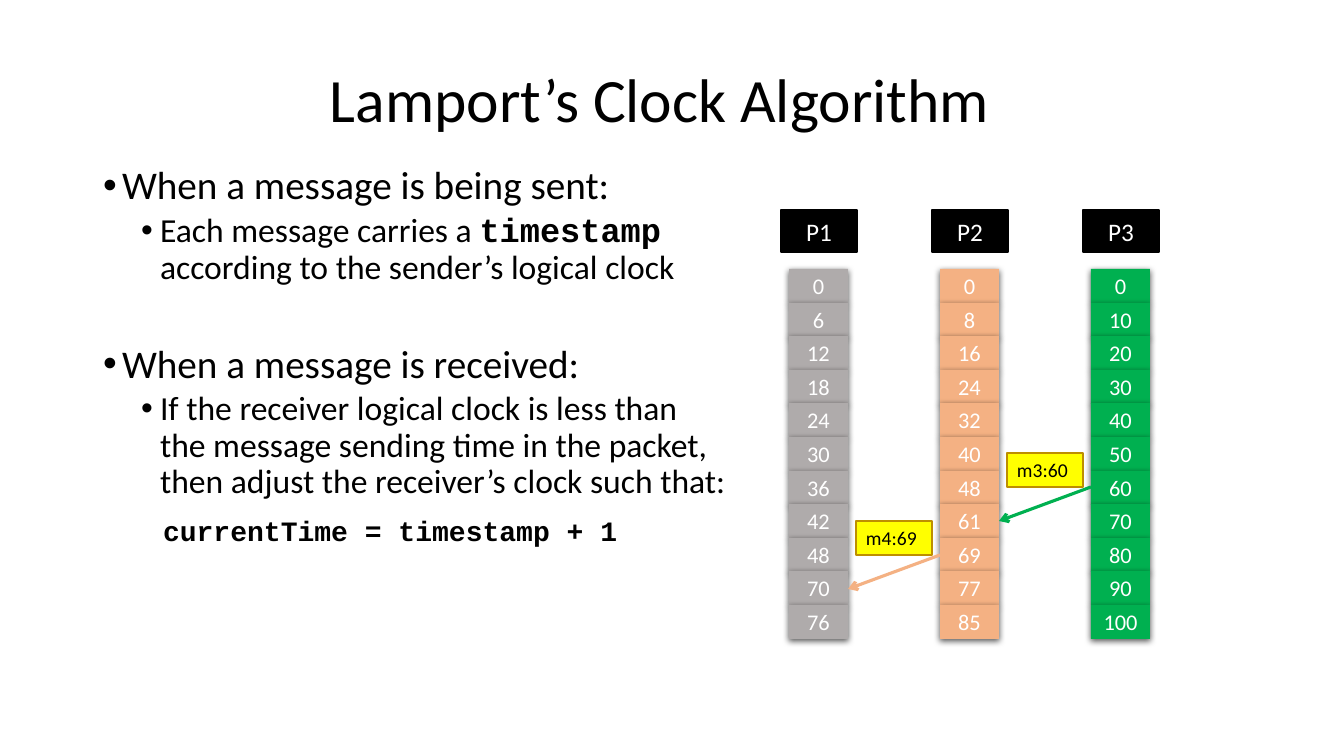
from lxml.etree import SubElement
from pptx import Presentation
from pptx.dml.color import RGBColor
from pptx.enum.shapes import MSO_CONNECTOR, MSO_SHAPE
from pptx.enum.text import MSO_ANCHOR, MSO_AUTO_SIZE, PP_ALIGN
from pptx.oxml.ns import qn
from pptx.util import Pt

SCALE = 914400 / 100.8
PITCH, STEP = 151.2, 33.6
HEADS, CELLS, TOP = 781, 789, 269
BLACK, WHITE = "000000", "FFFFFF"


def px(n):
    """Turn pixels into EMU."""
    return round(n * SCALE)


def color(code):
    """Turn a hex string into a colour."""
    return RGBColor.from_string(code)


def node(parent, tag, **attrs):
    """Append a DrawingML element and return it."""
    item = SubElement(parent, qn("a:" + tag))
    for key, val in attrs.items():
        item.set(key, str(val))
    return item


class Deck:
    """Hold the style and the current slide."""

    def __init__(self, font, code):
        """Start a deck with one title and content slide."""
        self.font, self.code = font, code
        self.file = Presentation()
        self.file.slide_width, self.file.slide_height = px(1344), px(756)
        self.slide = self.file.slides.add_slide(self.file.slide_layouts[1])

    def style(self, run, size, tint=BLACK, mono=False):
        """Format one run."""
        run.font.name = self.code if mono else self.font
        run.font.size, run.font.bold = Pt(size), mono
        run.font.color.rgb = color(tint)

    def place(self, shape, box):
        """Move a placeholder and fix its text frame."""
        shape.left, shape.top, shape.width, shape.height = map(px, box)
        shape.text_frame.word_wrap = True
        shape.text_frame.auto_size = MSO_AUTO_SIZE.NONE
        return shape.text_frame

    def title(self, box, text):
        """Fill the title."""
        frame = self.place(self.slide.shapes.title, box)
        frame.text = text
        frame.vertical_anchor = MSO_ANCHOR.MIDDLE
        para = frame.paragraphs[0]
        para.alignment, para.line_spacing = PP_ALIGN.CENTER, 0.9
        self.style(para.runs[0], 44)

    def body(self, box, items):
        """Fill the list; each item is level, size, gap, indent, bullet, runs."""
        frame = self.place(self.slide.placeholders[1], box)
        frame.vertical_anchor = MSO_ANCHOR.TOP
        for i, (level, size, gap, left, mark, parts) in enumerate(items):
            para = frame.add_paragraph() if i else frame.paragraphs[0]
            para.level, para.line_spacing = level, 0.9
            para.space_before, para.space_after = Pt(gap), Pt(0)
            props = para._p.get_or_add_pPr()
            props.set("marL", str(px(left)))
            props.set("indent", str(px(-19 if mark else 0)))
            if mark:
                node(props, "buFont", typeface="Arial")
                node(props, "buChar", char="•")
            else:
                node(props, "buNone")
            for text, mono in parts:
                run = para.add_run()
                run.text = text
                self.style(run, size, mono=mono)

    def block(self, box, text, size, fill, line=None, tint=WHITE):
        """Add a centred box; one without an outline casts a shadow."""
        shape = self.slide.shapes.add_shape(MSO_SHAPE.RECTANGLE, *map(px, box))
        shape.fill.solid()
        shape.fill.fore_color.rgb = color(fill)
        shape.shadow.inherit = False
        if line:
            shape.line.color.rgb, shape.line.width = color(line), Pt(1)
        else:
            shape.line.fill.background()
            glow = node(shape._element.spPr.find(qn("a:effectLst")),
                        "outerShdw", blurRad=Pt(4.5), dist=Pt(1.5),
                        dir=5400000, algn="ctr", rotWithShape=0)
            node(node(glow, "srgbClr", val=BLACK), "alpha", val=63000)
        frame = shape.text_frame
        frame.text, frame.word_wrap = text, True
        frame.margin_left = frame.margin_right = px(0 if not line else 10)
        frame.vertical_anchor = MSO_ANCHOR.MIDDLE
        frame.paragraphs[0].alignment = PP_ALIGN.CENTER
        self.style(frame.paragraphs[0].runs[0], size, tint)
        return shape

    def label(self, box, text):
        """Add a yellow message label."""
        frame = self.block(box, text, 14, "FFFF00", "BD8E00", BLACK).text_frame
        frame.paragraphs[0].alignment = PP_ALIGN.LEFT
        frame.vertical_anchor = MSO_ANCHOR.TOP
        frame.auto_size = MSO_AUTO_SIZE.SHAPE_TO_FIT_TEXT

    def arrow(self, ends, tint):
        """Add an arrow from one point to another."""
        link = self.slide.shapes.add_connector(
            MSO_CONNECTOR.STRAIGHT, *map(px, ends))
        link.line.color.rgb, link.line.width = color(tint), Pt(2.25)
        node(link.line._get_or_add_ln(), "tailEnd", type="arrow")
        node(link._element.spPr, "effectLst")


deck = Deck("Calibri", "Courier New")
deck.title((194, 30, 932, 146), "Lamport’s Clock Algorithm")
deck.body((93, 161, 646, 546), [
    (0, 28, 7.5, 19, True, [("When a message is being sent:", False)]),
    (1, 24, 3.8, 57, True, [
        ("Each message carries a ", False), ("timestamp", True),
        (" according to the sender’s logical clock", False)]),
    (0, 28, 41.4, 19, True, [("When a message is received:", False)]),
    (1, 24, 3.8, 57, True, [
        ("If the receiver logical clock is less than the message sending time "
         "in the packet, then adjust the receiver’s clock such that:", False)]),
    (0, 20, 11.5, 60, False, [("currentTime = timestamp + 1", True)]),
])

clocks = [
    ("P1", "AFABAB", [*range(0, 49, 6), 70, 76]),
    ("P2", "F4B183", [*range(0, 49, 8), 61, 69, 77, 85]),
    ("P3", "00B050", range(0, 101, 10)),
]
for col, (name, tint, ticks) in enumerate(clocks):
    shift = round(col * PITCH)
    deck.block((HEADS + shift, 210, 76, 42), name, 18, BLACK, BLACK)
    for row, tick in enumerate(ticks):
        top = TOP + round(row * STEP)
        deck.block((CELLS + shift, top, 59, 34), str(tick), 16, tint)

# Each message leaves one clock and reaches the clock on its left.
for text, col, row in [("m3:60", 2, 6), ("m4:69", 1, 8)]:
    start = CELLS + round(col * PITCH)
    top = TOP + round((row + 0.5) * STEP)
    deck.arrow((start, top, start - 92, top + 34), clocks[col][1])
    deck.label((start - 84, top - 34, 76, 34), text)

deck.file.save("out.pptx")
